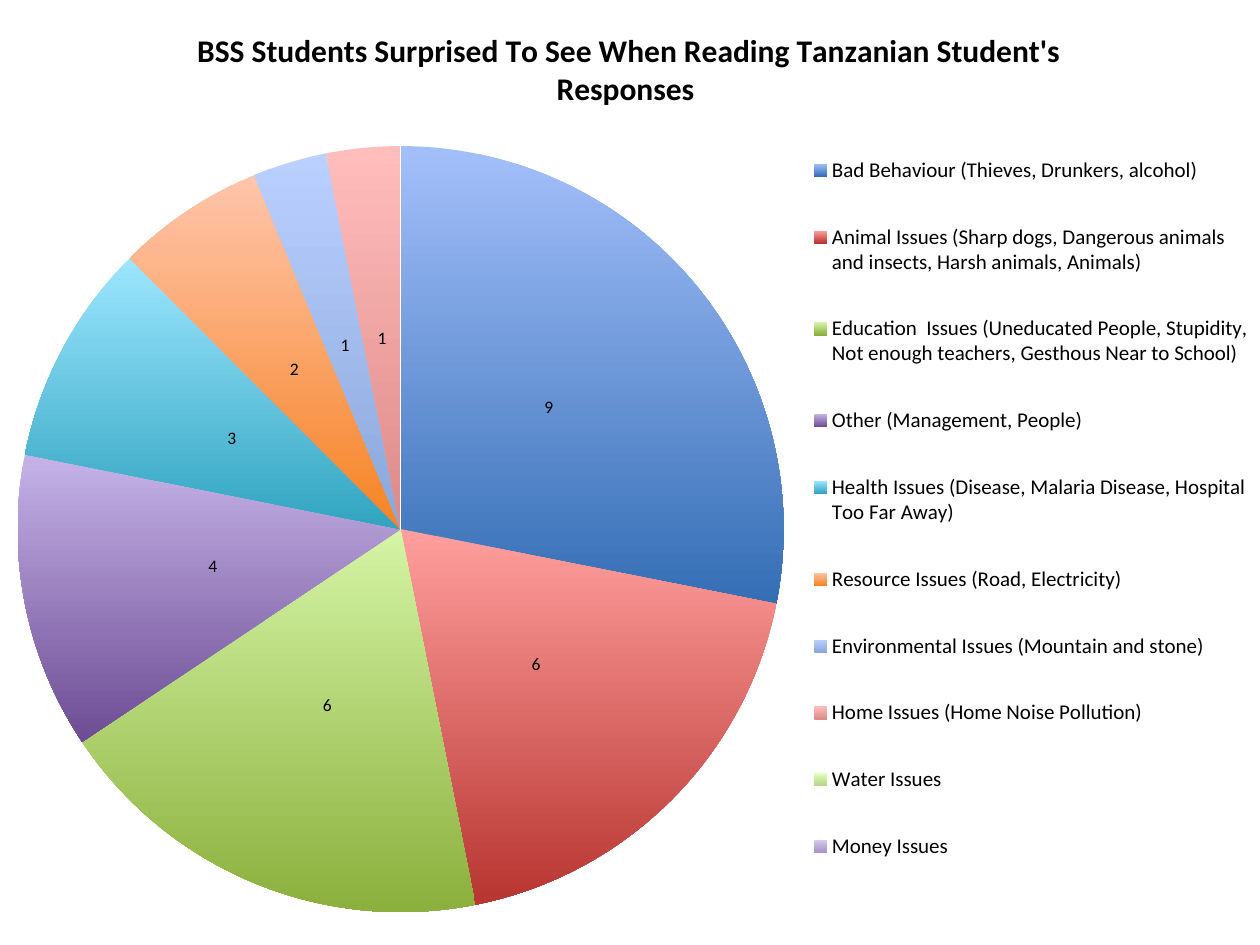
from typing import NamedTuple

from pptx import Presentation
from pptx.chart.data import CategoryChartData
from pptx.dml.color import RGBColor
from pptx.enum.chart import XL_CHART_TYPE, XL_LABEL_POSITION, XL_LEGEND_POSITION
from pptx.oxml.ns import qn
from pptx.util import Inches, Pt

PIE = XL_CHART_TYPE.PIE
CENTER = XL_LABEL_POSITION.CENTER
RIGHT = XL_LEGEND_POSITION.RIGHT
WIDE, HIGH = 10, 7.5
FACE = "Calibri"
BLACK = "000000"
TITLE = "BSS Students Surprised To See When Reading Tanzanian Student's Responses "


class Issue(NamedTuple):
    label: str
    count: int
    top: str
    base: str


ISSUES = [
    Issue("Bad Behaviour (Thieves, Drunkers, alcohol)", 9, "A3BFFA", "356EB5"),
    Issue("Animal Issues (Sharp dogs, Dangerous animals and insects, "
          "Harsh animals, Animals)", 6, "FF9F9D", "B83531"),
    Issue("Education  Issues (Uneducated People, Stupidity, Not enough "
          "teachers, Gesthous Near to School)", 6, "D5F4A5", "8BB03D"),
    Issue("Other (Management, People)", 4, "C5B3E8", "6D4C94"),
    Issue("Health Issues (Disease, Malaria Disease, Hospital Too Far Away)",
          3, "9DE6FF", "31A4C0"),
    Issue("Resource Issues (Road, Electricity)", 2, "FFC5AC", "F68323"),
    Issue("Environmental Issues (Mountain and stone)", 1, "BAD0FF", "8AA7DB"),
    Issue("Home Issues (Home Noise Pollution)", 1, "FFBDBC", "DD8A89"),
    Issue("Water Issues", 0, "E2FFBC", "B7D385"),
    Issue("Money Issues ", 0, "D6C7F3", "A793C4"),
]


def color(code: str) -> RGBColor:
    return RGBColor.from_string(code)


def style(font, size: float, bold: bool = False, ink: str = BLACK) -> None:
    font.name = FACE
    font.size = Pt(size)
    font.bold = bold
    font.color.rgb = color(ink)


def write(frame, text: str, **look) -> None:
    frame.text = text
    style(frame.paragraphs[0].runs[0].font, **look)


def place(chart, tag: str, index: int, inner: bool = False, **box: float) -> None:
    """Fix a chart part at a place given in inches."""
    part = chart.element.find(".//" + qn(tag))
    old = part.find(qn("c:layout"))
    if old is not None:
        part.remove(old)
    layout = part.makeelement(qn("c:layout"), {})
    part.insert(index, layout)
    manual = layout.makeelement(qn("c:manualLayout"), {})
    layout.append(manual)
    rules = {"layoutTarget": "inner"} if inner else {}
    rules.update(xMode="edge", yMode="edge")
    for name, value in box.items():
        rules[name] = value / (WIDE if name in "xw" else HIGH)
    for name, value in rules.items():
        manual.append(manual.makeelement(qn("c:" + name), {"val": str(value)}))


def shade(point, issue: Issue) -> None:
    fill = point.format.fill
    fill.gradient()
    fill.gradient_angle = 270
    for stop, code in zip(fill.gradient_stops, (issue.top, issue.base)):
        stop.color.rgb = color(code)
    point.format.line.fill.background()


def draw(slide) -> None:
    data = CategoryChartData()
    data.categories = [issue.label for issue in ISSUES]
    data.add_series("Series 1", [issue.count for issue in ISSUES])
    chart = slide.shapes.add_chart(
        PIE, 0, 0, Inches(WIDE), Inches(HIGH), data).chart
    style(chart.font, 10)

    # Title
    chart.has_title = True
    write(chart.chart_title.text_frame, TITLE, size=18, bold=True)
    place(chart, "c:title", 1, x=1.52, y=0.18)

    # Legend
    chart.has_legend = True
    chart.legend.position = RIGHT
    chart.legend.include_in_layout = False
    style(chart.legend.font, 12)
    place(chart, "c:legend", 1, x=6.5, y=0.92, w=3.5, h=6.23)

    # Slices
    plot = chart.plots[0]
    plot.vary_by_categories = True
    for at, issue in enumerate(ISSUES):
        shade(plot.series[0].points[at], issue)
    place(chart, "c:plotArea", 0, inner=True, x=0.13, y=1.16, w=6.1, h=6.08)

    # Value labels, with zeros left blank
    plot.has_data_labels = True
    labels = plot.data_labels
    labels.show_value = True
    labels.show_percentage = False
    labels.position = CENTER
    labels.number_format = "0;;"
    labels.number_format_is_linked = False
    style(labels.font, 10)


def main() -> None:
    deck = Presentation()
    deck.slide_width, deck.slide_height = Inches(WIDE), Inches(HIGH)
    draw(deck.slides.add_slide(deck.slide_layouts[6]))
    deck.save("out.pptx")


if __name__ == "__main__":
    main()
